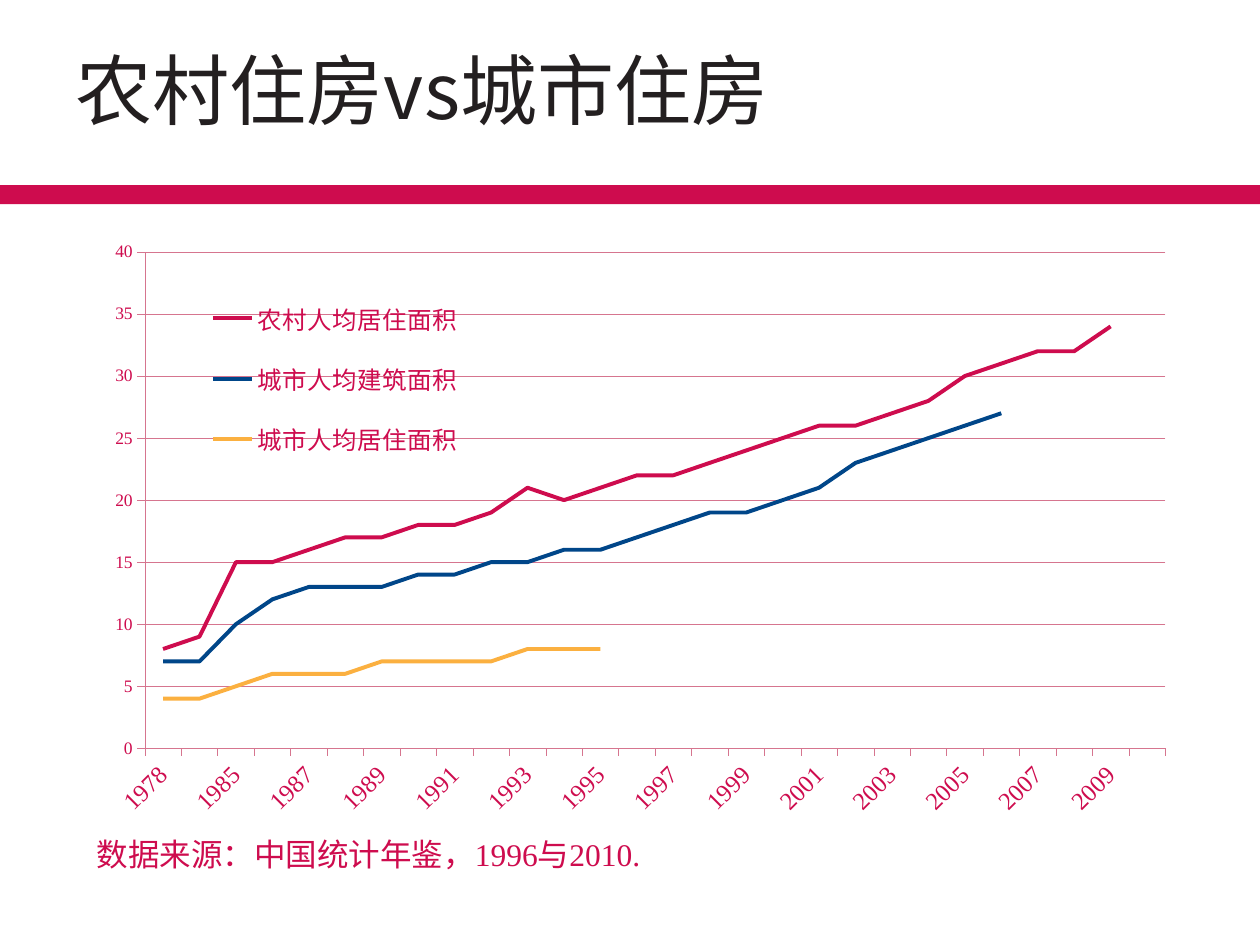
import pptx
import pptx.chart.data
import pptx.dml.color
import pptx.enum.chart
import pptx.enum.shapes
import pptx.enum.text
import pptx.oxml
import pptx.oxml.ns
import pptx.util

Inches = pptx.util.Inches
Pt = pptx.util.Pt
RGBColor = pptx.dml.color.RGBColor

RED = RGBColor(0xCE, 0x0C, 0x4E)
ROSE = RGBColor(0xD6, 0x75, 0x8F)
BLUE = RGBColor(0x00, 0x46, 0x89)
GOLD = RGBColor(0xFB, 0xB0, 0x40)
INK = RGBColor(0x23, 0x1F, 0x20)
SANS = "Noto Sans CJK SC"
SERIF = "Times New Roman"

WIDE, HIGH = 9, 4.95  # chart size in inches
YEARS = ["1978", "1980"] + [str(year) for year in range(1985, 2011)]
SERIES = [
    ("农村人均居住面积", RED,
     [8, 9, 15, 15, 16, 17, 17, 18, 18, 19, 21, 20, 21, 22,
      22, 23, 24, 25, 26, 26, 27, 28, 30, 31, 32, 32, 34]),
    ("城市人均建筑面积", BLUE,
     [7, 7, 10, 12, 13, 13, 13, 14, 14, 15, 15, 16, 16, 17,
      18, 19, 19, 20, 21, 23, 24, 25, 26, 27]),
    ("城市人均居住面积", GOLD,
     [4, 4, 5, 6, 6, 6, 7, 7, 7, 7, 8, 8, 8]),
]


def style(item, **values):
    for name, value in values.items():
        setattr(item, name, value)


def set_font(font, name, size, color):
    style(font, name=name, size=Pt(size))
    font.color.rgb = color


def set_line(line, color, width):
    line.color.rgb = color
    line.width = Pt(width)


def place(shape, left, top, width, height):
    style(shape, left=Inches(left), top=Inches(top),
          width=Inches(width), height=Inches(height))


def make_xml(tag, inner="", **attrs):
    """Make a chart or drawing element from its prefixed tag."""
    text = "".join(f' {key}="{value}"' for key, value in attrs.items())
    spaces = pptx.oxml.ns.nsdecls("c", "a")
    return pptx.oxml.parse_xml(f"<{tag} {spaces}{text}>{inner}</{tag}>")


def make_layout(left, top, width, height, target=""):
    """Make a manual layout from inches within the chart."""
    inner = f'<c:layoutTarget val="{target}"/>' if target else ""
    inner += '<c:xMode val="edge"/><c:yMode val="edge"/>'
    parts = (left / WIDE, top / HIGH, width / WIDE, height / HIGH)
    for key, value in zip("xywh", parts):
        inner += f'<c:{key} val="{value}"/>'
    return make_xml("c:layout", f"<c:manualLayout>{inner}</c:manualLayout>")


def set_layout(parent, layout, index):
    for old in parent.findall(pptx.oxml.ns.qn("c:layout")):
        parent.remove(old)
    parent.insert(index, layout)


def add_title(slide, text):
    title = slide.shapes.title
    place(title, 0.5, 0.29, 9, 0.95)
    frame = title.text_frame
    style(frame, text=text, margin_bottom=Inches(0.17),
          vertical_anchor=pptx.enum.text.MSO_ANCHOR.MIDDLE)
    para = frame.paragraphs[0]
    para.alignment = pptx.enum.text.PP_ALIGN.LEFT
    font = para.runs[0].font
    set_font(font, SANS, 44, INK)
    font._element.append(make_xml("a:ea", typeface=SANS))


def add_band(slide):
    band = slide.shapes.add_shape(
        pptx.enum.shapes.MSO_SHAPE.RECTANGLE,
        Inches(-0.02), Inches(1.47), Inches(10.04), Inches(0.15))
    band.shadow.inherit = False
    band.fill.solid()
    band.fill.fore_color.rgb = RED
    band.line.fill.background()


def format_axes(chart):
    years, areas = chart.category_axis, chart.value_axis
    for axis, size in ((years, 14), (areas, 10)):
        axis.major_tick_mark = pptx.enum.chart.XL_TICK_MARK.OUTSIDE
        set_font(axis.tick_labels.font, SERIF, size, RED)
        set_line(axis.format.line, ROSE, 0.25)
    style(areas, minimum_scale=0, maximum_scale=40, major_unit=5,
          has_major_gridlines=True)
    set_line(areas.major_gridlines.format.line, ROSE, 0.25)
    node = years._element
    body = node.find(".//" + pptx.oxml.ns.qn("a:bodyPr"))
    body.set("rot", "-2700000")
    last = node.find(pptx.oxml.ns.qn("c:noMultiLvlLbl"))
    last.addprevious(make_xml("c:tickLblSkip", val=2))


def add_legend(chart):
    chart.has_legend = True
    legend = chart.legend
    style(legend, position=pptx.enum.chart.XL_LEGEND_POSITION.RIGHT,
          include_in_layout=False)
    set_font(legend.font, SERIF, 14, RED)
    set_layout(legend._element, make_layout(1.08, 0.44, 2.16, 1.63), 1)


def add_graph(slide):
    data = pptx.chart.data.CategoryChartData()
    data.categories = YEARS
    for name, _, values in SERIES:
        data.add_series(name, values + [None] * (len(YEARS) - len(values)))
    chart = slide.shapes.add_chart(
        pptx.enum.chart.XL_CHART_TYPE.LINE,
        Inches(0.5), Inches(1.75), Inches(WIDE), Inches(HIGH), data).chart
    chart.has_title = False
    set_font(chart.font, SERIF, 10, RED)
    plot = chart.plots[0]
    plot.vary_by_categories = False
    for series, (_, color, _) in zip(plot.series, SERIES):
        series.smooth = False
        series.marker.style = pptx.enum.chart.XL_MARKER_STYLE.NONE
        set_line(series.format.line, color, 2.25)
    format_axes(chart)
    add_legend(chart)
    area = chart._chartSpace.chart.plotArea
    set_layout(area, make_layout(0.65, 0.25, 8.1, 3.94, "inner"), 0)


def add_note(slide, text):
    box = slide.shapes.add_textbox(
        Inches(0.67), Inches(6.58), Inches(7.09), Inches(0.4))
    style(box.text_frame, word_wrap=True, text=text)
    set_font(box.text_frame.paragraphs[0].runs[0].font, SERIF, 18, RED)


def main():
    deck = pptx.Presentation()
    style(deck, slide_width=Inches(10), slide_height=Inches(7.5))
    slide = deck.slides.add_slide(deck.slide_layouts[5])
    add_band(slide)
    add_title(slide, "农村住房vs城市住房")
    add_graph(slide)
    add_note(slide, "数据来源：中国统计年鉴，1996与2010.")
    deck.save("out.pptx")


if __name__ == "__main__":
    main()
